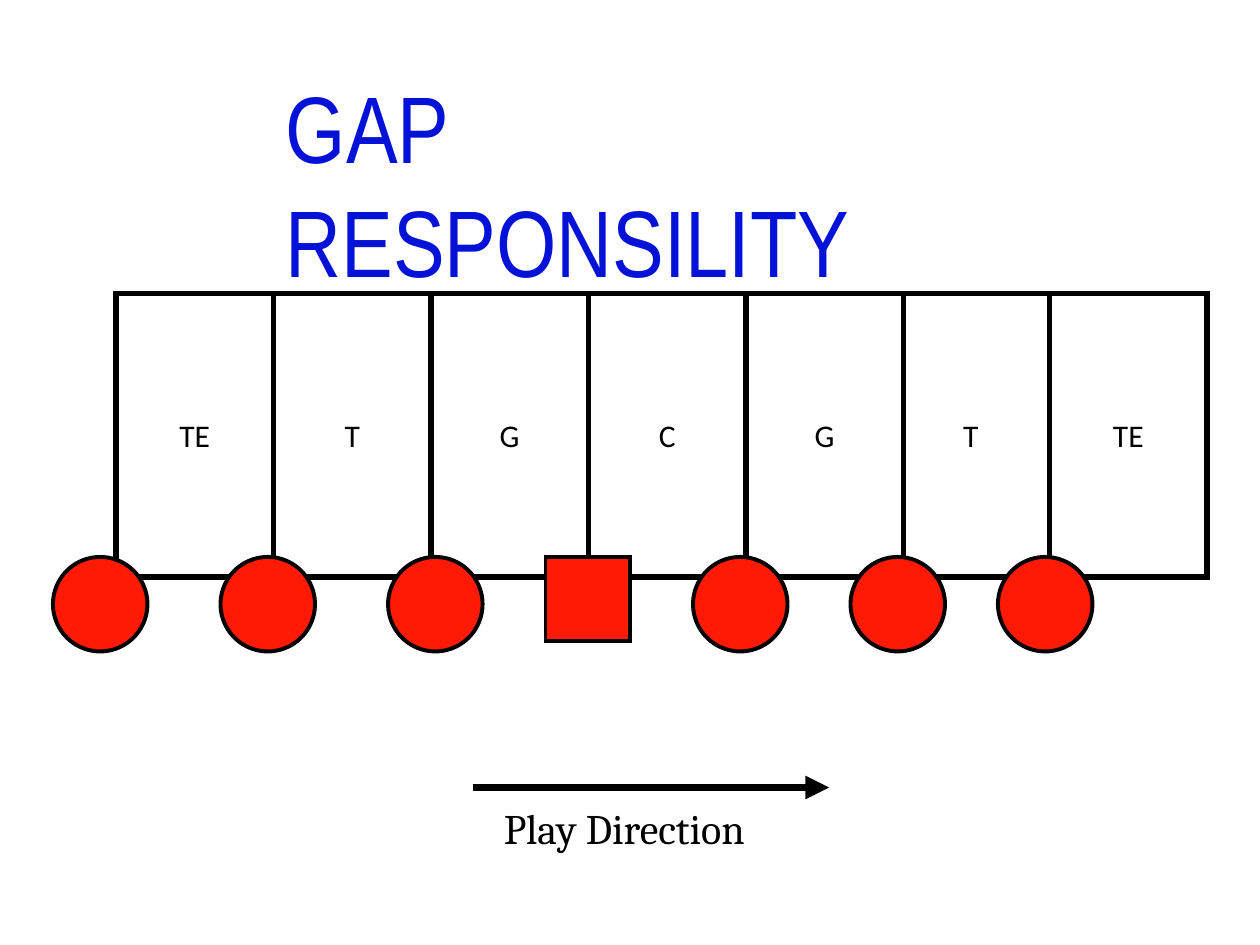
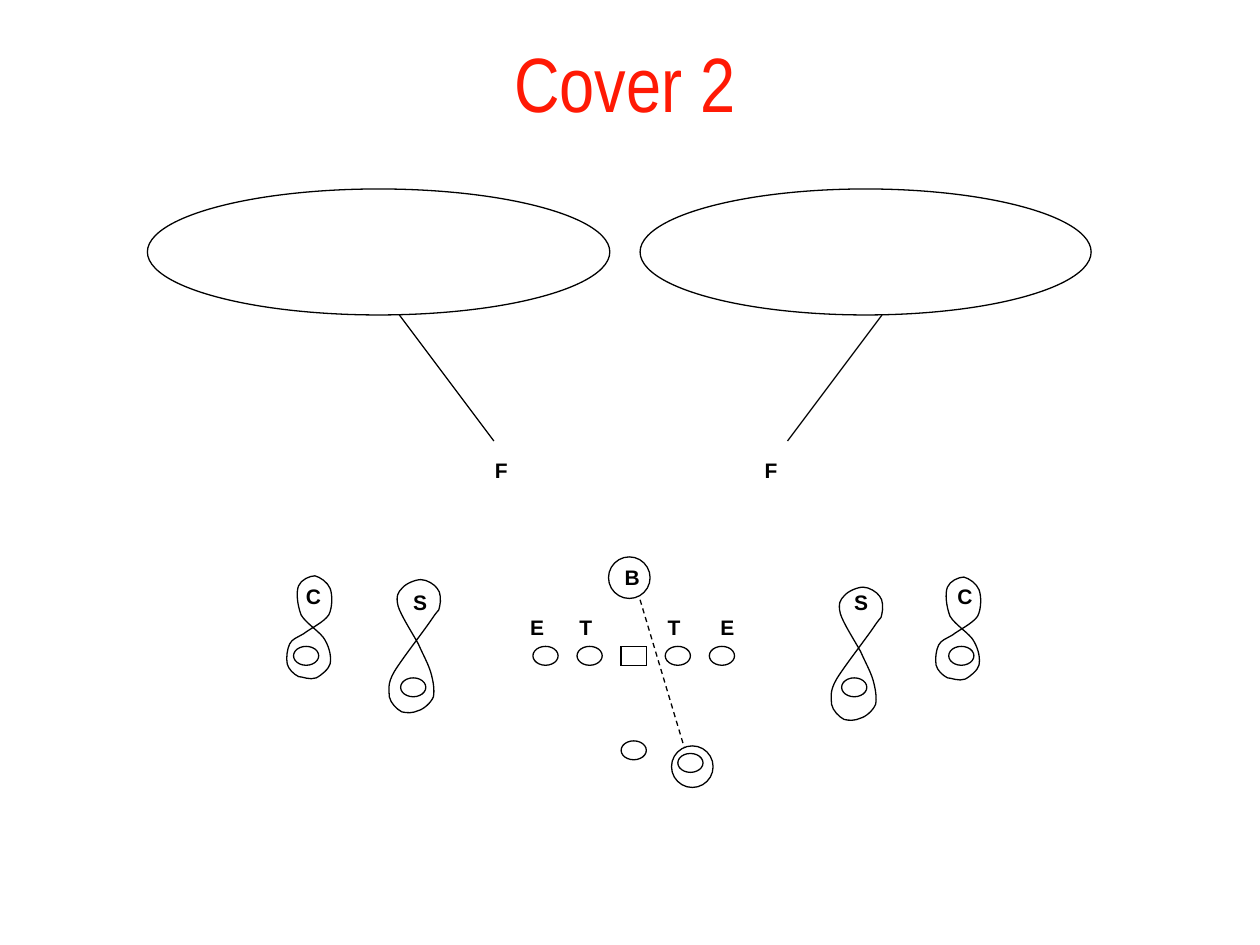
from dataclasses import dataclass
from typing import NamedTuple

from lxml import etree
from pptx import Presentation
from pptx import util as u
from pptx.dml.color import RGBColor
from pptx.enum import dml, shapes, text
from pptx.oxml import ns


@dataclass(frozen=True)
class Theme:
    black: str = "000000"
    white: str = "FFFFFF"
    red: str = "FF1A05"
    blue: str = "0411D7"
    thin: float = 0.75
    player_line: float = 2.25
    gap_line: float = 3
    arrow_line: float = 4.5
    gap_title_size: float = 54
    cover_title_size: float = 44
    caption_size: float = 24
    gap_size: float = 18
    defender_size: float = 12


THEME = Theme()


class TextStyle(NamedTuple):
    font: dict
    color: str
    align: text.PP_ALIGN = text.PP_ALIGN.LEFT
    anchor: text.MSO_ANCHOR = text.MSO_ANCHOR.TOP
    wrap: bool = True
    before: float = 0


CENTER, MIDDLE = text.PP_ALIGN.CENTER, text.MSO_ANCHOR.MIDDLE
GAP_TITLE = TextStyle({"name": "Arial Narrow", "size": u.Pt(THEME.gap_title_size)}, THEME.blue)
COVER_TITLE = TextStyle({"name": "Arial Narrow", "size": u.Pt(THEME.cover_title_size)},
                        THEME.red, CENTER, MIDDLE)
GAP_LABEL = TextStyle({"name": "Calibri", "size": u.Pt(THEME.gap_size)},
                      THEME.black, CENTER, MIDDLE, False)
CAPTION = TextStyle({"name": "Cambria", "size": u.Pt(THEME.caption_size)},
                    THEME.black, wrap=False)
DEFENDER = TextStyle({"name": "Arial", "size": u.Pt(THEME.defender_size), "bold": True},
                     THEME.black, before=6)


class Box(NamedTuple):
    left: float
    top: float
    width: float
    height: float

    def emu(self) -> list:
        return [u.Inches(side) for side in self]


class Point(NamedTuple):
    x: float
    y: float


class Mark(NamedTuple):
    letters: str
    left: float
    top: float
    width: float = 0.3
    tabs: tuple = ()


RECT, OVAL = shapes.MSO_SHAPE.RECTANGLE, shapes.MSO_SHAPE.OVAL

GAPS = [("TE", 0.92), ("T", 2.17), ("G", 3.42), ("C", 4.67),
        ("G", 5.92), ("T", 7.08), ("TE", 8.33)]
LINEMEN_LEFT = [5.5, 6.75, 7.92, 3.08, 1.75, 0.42]

OFFENSE = [Point(4.23 + 0.35 * place, 5.13) for place in (0, 1, 3, 4)] + [
    Point(4.93, 5.88), Point(5.38, 5.98), Point(3.18, 5.38),
    Point(6.68, 5.38), Point(2.33, 5.13), Point(7.53, 5.13)]
DEFENSE = [
    Mark("\tE\tT\tT\tE", 2.58, 4.83, 5.1, (1.53, 1.92, 2.62, 3.04)),
    Mark("\tB", 4.53, 4.43, 1.38, (0.33,)),
    Mark("S", 3.18, 4.63), Mark("S", 6.68, 4.63),
    Mark("F\tF", 3.83, 3.58, 2.52, (2.14,)),
    Mark("C", 2.33, 4.58), Mark("C", 7.5, 4.58)]
DEEP_ZONES = [Box(1.17, 1.5, 3.67, 1), Box(5.08, 1.5, 3.58, 1)]
BACK_RINGS = [Box(5.33, 5.92, 0.33, 0.33), Box(4.83, 4.42, 0.33, 0.33)]
SAFETY_DROPS = [(Point(3.92, 3.5), Point(3.17, 2.5)), (Point(6.25, 3.5), Point(7, 2.5))]

CORNER_LOOP = [
    (2.37, 5.37),
    (2.33, 5.35), (2.29, 5.31), (2.28, 5.27), (2.27, 5.22), (2.28, 5.15), (2.3, 5.11),
    (2.32, 5.07), (2.36, 5.06), (2.41, 5.03), (2.46, 4.99), (2.57, 4.94), (2.61, 4.88),
    (2.64, 4.82), (2.64, 4.72), (2.62, 4.67), (2.6, 4.62), (2.54, 4.58), (2.5, 4.57),
    (2.46, 4.57), (2.39, 4.6), (2.37, 4.65), (2.35, 4.7), (2.36, 4.8), (2.39, 4.88),
    (2.43, 4.95), (2.55, 5.02), (2.58, 5.08), (2.62, 5.15), (2.63, 5.22), (2.62, 5.27),
    (2.61, 5.31), (2.55, 5.36), (2.51, 5.38), (2.46, 5.4), (2.4, 5.37), (2.37, 5.37)]
SAFETY_LOOP = [
    (3.19, 5.65),
    (3.15, 5.63), (3.1, 5.58), (3.09, 5.53), (3.09, 5.48), (3.07, 5.43), (3.13, 5.33),
    (3.19, 5.23), (3.37, 5), (3.43, 4.91), (3.49, 4.82), (3.49, 4.85), (3.49, 4.81),
    (3.5, 4.77), (3.5, 4.7), (3.47, 4.67), (3.45, 4.64), (3.39, 4.6), (3.34, 4.6),
    (3.3, 4.6), (3.22, 4.63), (3.19, 4.67), (3.16, 4.7), (3.14, 4.73), (3.16, 4.81),
    (3.18, 4.88), (3.27, 5.02), (3.32, 5.11), (3.36, 5.2), (3.4, 5.27), (3.42, 5.34),
    (3.44, 5.41), (3.45, 5.48), (3.44, 5.53), (3.42, 5.58), (3.36, 5.63), (3.32, 5.64),
    (3.28, 5.66), (3.23, 5.66), (3.19, 5.65)]
MAN_LOOPS = [(CORNER_LOOP, Point(0, 0)), (SAFETY_LOOP, Point(0, 0)),
             (SAFETY_LOOP, Point(3.51, 0.06)), (CORNER_LOOP, Point(5.15, 0.01))]


def write(frame, words: str, style: TextStyle, tabs: tuple = ()) -> None:
    for name, value in {"word_wrap": style.wrap, "vertical_anchor": style.anchor}.items():
        setattr(frame, name, value)
    paragraph = frame.paragraphs[0]
    for name, value in {"alignment": style.align, "space_before": u.Pt(style.before)}.items():
        setattr(paragraph, name, value)
    if tabs:
        stops = etree.SubElement(paragraph._p.get_or_add_pPr(), ns.qn("a:tabLst"))
        for stop in tabs:
            etree.SubElement(stops, ns.qn("a:tab"), pos=str(u.Inches(stop)), algn="l")
    run = paragraph.add_run()
    run.text = words
    for name, value in style.font.items():
        setattr(run.font, name, value)
    run.font.color.rgb = RGBColor.from_string(style.color)


def add_text(tree, box: Box, words: str, style: TextStyle, tabs: tuple = ()) -> None:
    write(tree.add_textbox(*box.emu()).text_frame, words, style, tabs)


def dress(shape, weight: float, fill: str | None = None) -> None:
    shape.shadow.inherit = False
    if fill:
        shape.fill.solid()
        shape.fill.fore_color.rgb = RGBColor.from_string(fill)
    else:
        shape.fill.background()
    shape.line.color.rgb = RGBColor.from_string(THEME.black)
    shape.line.width = u.Pt(weight)
    etree.SubElement(shape.line._get_or_add_ln(), ns.qn("a:miter"), lim="800000")


def add_figure(tree, kind, box: Box, weight: float, fill: str | None = None):
    figure = tree.add_shape(kind, *box.emu())
    dress(figure, weight, fill)
    return figure


def add_line(tree, start: Point, end: Point, weight: float,
             dashed: bool = False, arrow: bool = False) -> None:
    line = tree.add_connector(shapes.MSO_CONNECTOR.STRAIGHT,
                              *[u.Inches(value) for value in (*start, *end)])
    line.line.color.rgb = RGBColor.from_string(THEME.black)
    line.line.width = u.Pt(weight)
    if dashed:
        line.line.dash_style = dml.MSO_LINE.DASH
    if arrow:
        etree.SubElement(line.line._get_or_add_ln(), ns.qn("a:tailEnd"), type="triangle")
    etree.SubElement(line._element.spPr, ns.qn("a:effectLst"))


def add_loop(tree, knots: list, shift: Point) -> None:
    points = [(u.Inches(x + shift.x), u.Inches(y + shift.y)) for x, y in knots]
    outline = tree.build_freeform(*points[0])
    outline.add_line_segments(points[3::3], close=True)
    loop = outline.convert_to_shape()
    segments = list(loop._element.iter(ns.qn("a:lnTo")))
    for place, segment in enumerate(segments):
        segment.tag = ns.qn("a:cubicBezTo")
        for order, (x, y) in enumerate(points[3 * place + 1:3 * place + 3]):
            handle = etree.Element(ns.qn("a:pt"), x=str(x - loop.left), y=str(y - loop.top))
            segment.insert(order, handle)
    dress(loop, THEME.thin)


def draw_gap_slide(tree) -> None:
    for label, left in reversed(GAPS):
        gap = add_figure(tree, RECT, Box(left, 2.33, 1.25, 2.25), THEME.gap_line, THEME.white)
        write(gap.text_frame, label, GAP_LABEL)

    front = tree.add_group_shape().shapes
    add_figure(front, RECT, Box(4.33, 4.42, 0.67, 0.67), THEME.player_line, THEME.red)
    for left in LINEMEN_LEFT:
        add_figure(front, OVAL, Box(left, 4.42, 0.75, 0.75), THEME.player_line, THEME.red)

    direction = tree.add_group_shape().shapes
    add_line(direction, Point(3.75, 6.25), Point(6.58, 6.25), THEME.arrow_line, arrow=True)
    add_text(direction, Box(3.9, 6.32, 2.13, 0.5), "Play Direction", CAPTION)
    add_text(tree, Box(2.17, 0.5, 5.6, 1.02), "GAP RESPONSILITY", GAP_TITLE)


def draw_cover_slide(tree) -> None:
    add_text(tree, Box(3.75, 0.17, 2.42, 0.95), "Cover 2", COVER_TITLE)
    add_figure(tree, RECT, Box(4.93, 5.13, 0.2, 0.15), THEME.thin, THEME.white)
    for player in OFFENSE:
        add_figure(tree, OVAL, Box(*player, 0.2, 0.15), THEME.thin, THEME.white)
    for mark in DEFENSE:
        add_text(tree, Box(mark.left, mark.top, mark.width, 0.3), mark.letters, DEFENDER,
                 mark.tabs)
    for knots, shift in MAN_LOOPS:
        add_loop(tree, knots, shift)
    add_line(tree, Point(5.08, 4.76), Point(5.43, 5.93), THEME.thin, dashed=True)
    for ring in BACK_RINGS:
        add_figure(tree, OVAL, ring, THEME.thin)
    for start, end in SAFETY_DROPS:
        add_line(tree, start, end, THEME.thin)
    for zone in DEEP_ZONES:
        add_figure(tree, OVAL, zone, THEME.thin)


def main() -> None:
    deck = Presentation()
    for name, value in {"slide_width": u.Inches(10), "slide_height": u.Inches(7.5)}.items():
        setattr(deck, name, value)
    for draw in (draw_gap_slide, draw_cover_slide):
        draw(deck.slides.add_slide(deck.slide_layouts[6]).shapes)
    deck.save("out.pptx")


if __name__ == "__main__":
    main()
